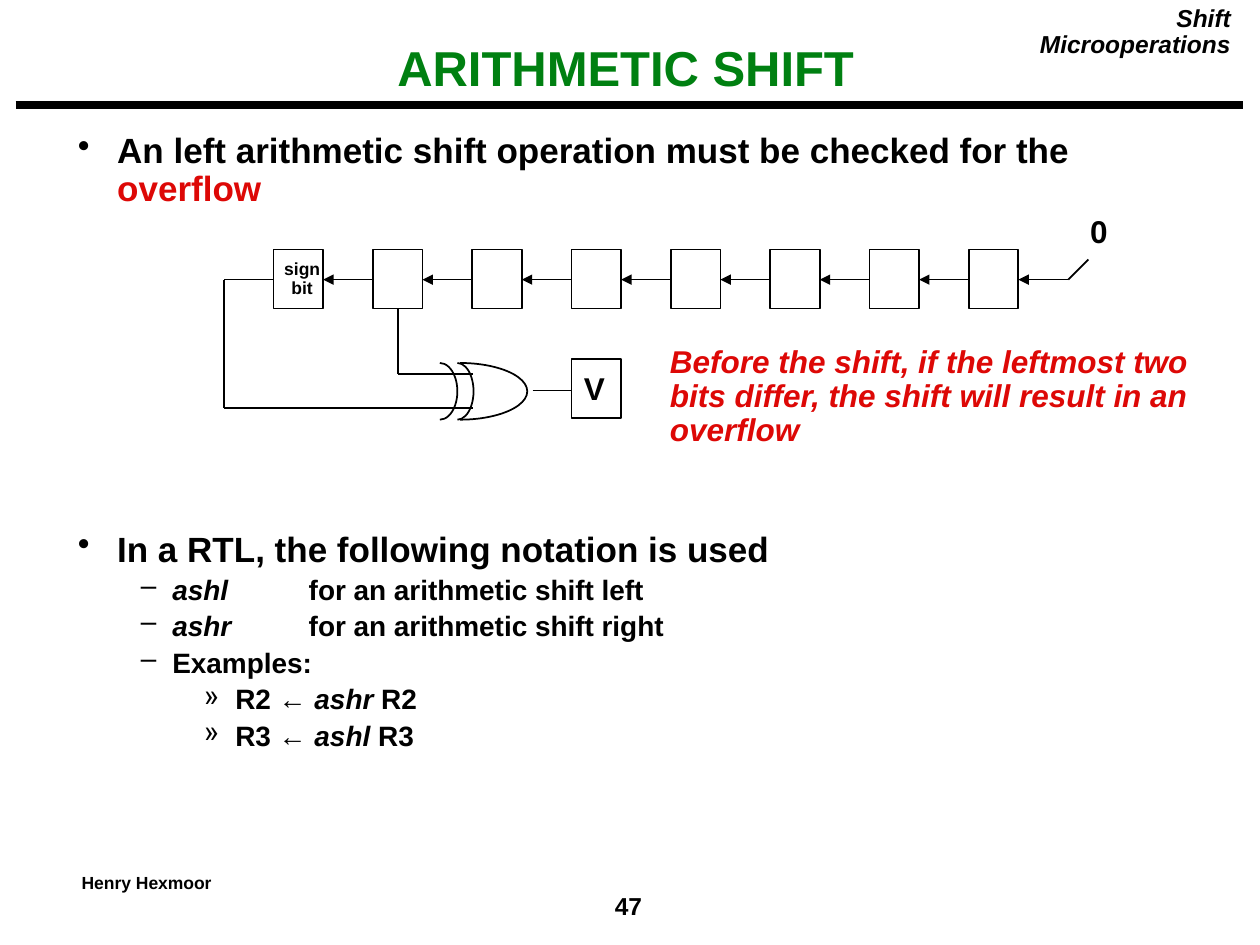
from lxml import etree
from pptx import Presentation
from pptx.dml.color import RGBColor
from pptx.enum import shapes as sh, text as tx
from pptx.oxml import ns
from pptx.util import Pt

BLACK = RGBColor(0, 0, 0)
GREEN = RGBColor(0x00, 0x80, 0x11)
RED = RGBColor(0xDD, 0x08, 0x06)
LEFT, MID, RIGHT = tx.PP_ALIGN.LEFT, tx.PP_ALIGN.CENTER, tx.PP_ALIGN.RIGHT
CELL_W, CELL_H, STEP, CELLS = 28.3, 33.8, 56.75, 8


def frame(slide, x, y, w, h, wrap=True, pad=(7.2, 3.6)):
    body = slide.shapes.add_textbox(Pt(x), Pt(y), Pt(w), Pt(h)).text_frame
    body.word_wrap = wrap
    body.margin_left = body.margin_right = Pt(pad[0])
    body.margin_top = body.margin_bottom = Pt(pad[1])
    return body


def style(para, size, color=BLACK, italic=None, align=LEFT, space=0.9):
    font = para.font
    font.name, font.size, font.bold = "Arial", Pt(size), True
    font.italic = italic
    font.color.rgb = color
    para.alignment, para.line_spacing = align, space


def label(slide, box, lines, size, wrap=False, pad=(7.2, 3.6), **look):
    body = frame(slide, *box, wrap=wrap, pad=pad)
    for i, line in enumerate(lines):
        para = body.add_paragraph() if i else body.paragraphs[0]
        para.text = line
        style(para, size, **look)


def wire(slide, x1, y1, x2, y2, width=1, arrow=False):
    line = slide.shapes.add_connector(
        sh.MSO_CONNECTOR.STRAIGHT, Pt(x1), Pt(y1), Pt(x2), Pt(y2))
    line.line.color.rgb = BLACK
    line.line.width = Pt(width)
    if arrow:
        etree.SubElement(line.line._get_or_add_ln(), ns.qn("a:tailEnd"), type="triangle")
    etree.SubElement(line._element.spPr, ns.qn("a:effectLst"))


def shape(slide, kind, x, y, w, h):
    item = slide.shapes.add_shape(kind, Pt(x), Pt(y), Pt(w), Pt(h))
    item.shadow.inherit = False
    item.fill.background()
    item.line.color.rgb = BLACK
    item.line.width = Pt(1)
    return item


def cell(slide, x, y):
    shape(slide, sh.MSO_SHAPE.RECTANGLE, x, y, CELL_W, CELL_H)


def gate(slide, x, y, h):
    for dx, reach in ((0, 10), (10, 9.2), (11.5, 38.4)):
        arc = shape(slide, sh.MSO_SHAPE.ARC, x + dx - reach, y, 2 * reach, h)
        arc.adjustments[1] = 54


def points(slide, box, items):
    levels = {0: (22.5, 22.5, "•", 20), 1: (54, 18, "–", 16), 2: (90, 18, "»", 16)}
    body = frame(slide, *box)
    for i, (level, space, runs) in enumerate(items):
        para = body.add_paragraph() if i else body.paragraphs[0]
        indent, hang, mark, size = levels[level]
        style(para, size, space=space)
        para.level = level
        para.space_before = Pt(5.5 if i else 0)
        props = para._p.get_or_add_pPr()
        props.set("marL", str(Pt(indent)))
        props.set("indent", str(-Pt(hang)))
        props.set("defTabSz", str(Pt(66)))
        bullet = etree.Element(ns.qn("a:buChar"), char=mark)
        props.find(ns.qn("a:defRPr")).addprevious(bullet)
        for words, color, italic in runs:
            run = para.add_run()
            run.text = words
            run.font.italic = italic
            if color != BLACK:
                run.font.color.rgb = color


def header(slide, x, y, w):
    label(slide, (x, y + 23, w, 34.6), ["ARITHMETIC SHIFT"], 28, wrap=True,
          pad=(5, 2.2), color=GREEN, align=MID)
    label(slide, (x + 546.5, y, 152.5, 40), ["Shift Microoperations"], 14, wrap=True,
          italic=True, align=RIGHT)
    wire(slide, x - 2.6, y + 59.8, x + 699, y + 59.8, 4.5)


def footer(slide, x, y):
    label(slide, (x, y, 88.6, 18), ["Henry Hexmoor"], 10)
    label(slide, (x + 306.7, y + 10.8, 27.4, 20.9), ["47"], 14, pad=(5, 2.2), space=1)


def diagram(slide, x, y):
    row, first = y + 17.2, x + 28.2
    for i in range(CELLS):
        spot = first + i * STEP
        cell(slide, spot, y)
        wire(slide, spot + STEP, row, spot + CELL_W, row, arrow=True)
    end = first + CELLS * STEP
    wire(slide, end, row, end + 11.5, row - 11.5)
    label(slide, (end + 5.5, y - 22.4, 24.5, 26.6), ["0"], 18)
    label(slide, (first - 1.4, y + 2.8, 35.3, 28.8), ["sign", "bit"], 10, align=MID)

    high, low, tap, pin = y + 71.2, y + 90.7, x + 99.3, x + 141.8
    wire(slide, first, row, x, row)
    wire(slide, x, row, x, low)
    wire(slide, x, low, pin, low)
    wire(slide, tap, y + CELL_H, tap, high)
    wire(slide, tap, high, pin, high)
    gate(slide, x + 123.2, y + 64.8, 32.4)
    flag = first + 3 * STEP
    wire(slide, flag - 22.3, y + 80.6, flag, y + 80.6)
    cell(slide, flag, y + 62.6)
    label(slide, (flag, y + 66.9, 26.6, 26.6), ["V"], 18)
    label(slide, (x + 247.6, y + 51.8, 311.8, 65.5),
          ["Before the shift, if the leftmost two",
           "bits differ, the shift will result in an", "overflow"],
          18, color=RED, italic=True)


def main():
    deck = Presentation()
    deck.slide_width, deck.slide_height = Pt(720), Pt(540)
    slide = deck.slides.add_slide(deck.slide_layouts[6])
    header(slide, 11.5, 0, 692)
    points(slide, (37.4, 72.5, 629.3, 76.3), [
        (0, 0.9, [("An left arithmetic shift operation must be checked for the ", BLACK, None),
                  ("overflow", RED, None)])])
    diagram(slide, 128.2, 142.6)
    points(slide, (37.4, 302.5, 629.3, 141.8), [
        (0, 0.8, [("In a RTL, the following notation is used", BLACK, None)]),
        (1, 0.8, [("ashl", BLACK, True), ("\tfor an arithmetic shift left", BLACK, None)]),
        (1, 0.8, [("ashr", BLACK, True), ("\tfor an arithmetic shift right", BLACK, None)]),
        (1, 0.8, [("Examples:", BLACK, None)]),
        (2, 0.8, [("R2 ← ", BLACK, None), ("ashr", BLACK, True), (" R2", BLACK, None)]),
        (2, 0.8, [("R3 ← ", BLACK, None), ("ashl", BLACK, True), (" R3", BLACK, None)])])
    footer(slide, 39.6, 496.1)
    deck.save("out.pptx")


main()
